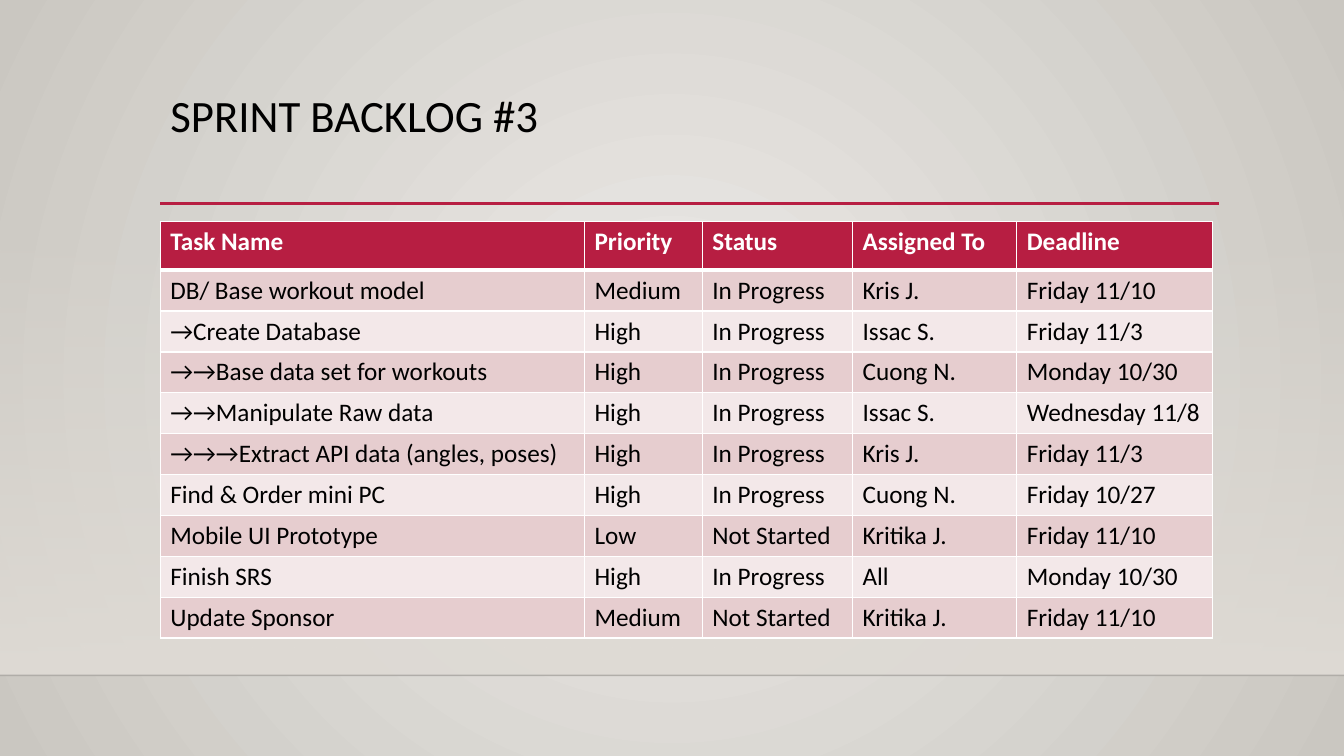
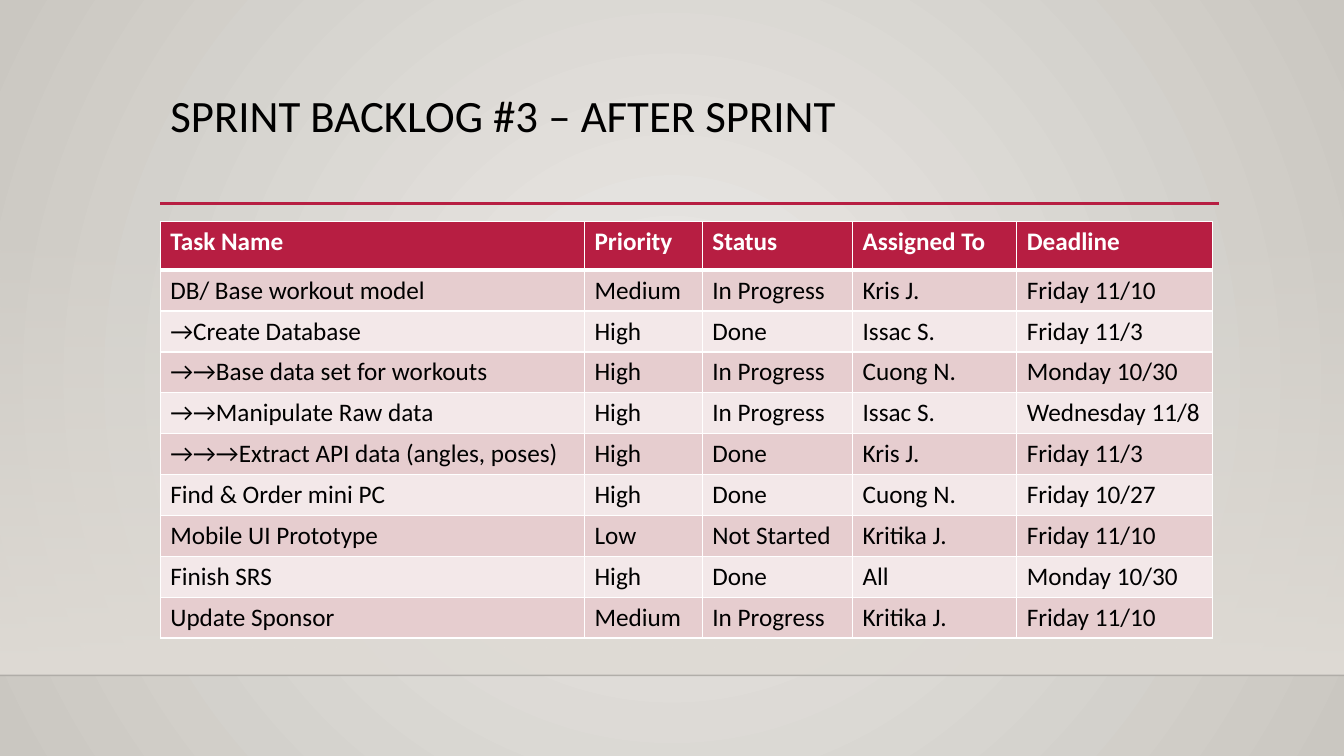
from dataclasses import dataclass

from lxml import etree
from pptx import Presentation
from pptx.dml.color import RGBColor
from pptx.enum.shapes import MSO_CONNECTOR as Connector, MSO_SHAPE as Shape
from pptx.enum.text import MSO_ANCHOR as Anchor, MSO_AUTO_SIZE as AutoSize, PP_ALIGN as Align
from pptx.oxml import parse_xml
from pptx.oxml.ns import nsdecls, qn
from pptx.util import Pt


@dataclass(frozen=True)
class Theme:
    font: str = "Calibri"
    title_size: int = 32
    table_size: int = 18
    accent: str = "B71E42"
    ink: str = "000000"
    white: str = "FFFFFF"
    dark_band: str = "E6CDCF"
    light_band: str = "F3E8E9"
    floor: str = "DFDBD5"
    glow: str = "ECEAE7"
    edge: str = "CAC7C1"


theme = Theme()


def gradient(stops, direction):
    marks = "".join(
        f'<a:gs pos="{place * 1000}"><a:srgbClr val="{color}">'
        f'<a:alpha val="{opacity * 1000}"/></a:srgbClr></a:gs>'
        for place, color, opacity in stops
    )
    return parse_xml(f'<a:gradFill {nsdecls("a")} rotWithShape="1"><a:gsLst>{marks}</a:gsLst>{direction}</a:gradFill>')


def write(para, text, size, color, bold=False):
    span = para.add_run()
    span.text = text
    span.font.name = theme.font
    span.font.size = Pt(size)
    span.font.bold = bold
    span.font.color.rgb = RGBColor.from_string(color)


deck = Presentation()
deck.slide_width, deck.slide_height = Pt(960), Pt(540)
layout = deck.slide_layouts[5]

margin = 114.5
floor_top, floor_bottom = 159, 482.4
rule_top, rule_right = 145.5, 871
table_top, header_height, row_height = 158.4, 34.6, 28.8
column_widths = (303, 84.2, 107.3, 117.3, 139.8)

for holder in list(layout.placeholders):
    if holder.placeholder_format.idx:
        holder.element.getparent().remove(holder.element)
layout_title = layout.placeholders[0]
layout_title.left, layout_title.top = Pt(margin), Pt(63.4)
layout_title.width, layout_title.height = Pt(756), Pt(82.8)

layout.background.fill.solid()
backdrop = layout.element.find(".//" + qn("p:bgPr"))
backdrop.replace(
    backdrop[0],
    gradient(
        [(0, theme.glow, 100), (100, theme.edge, 100)],
        '<a:path path="circle"><a:fillToRect l="50000" t="50000" r="50000" b="50000"/></a:path>',
    ),
)

pages = [deck.slides.add_slide(layout) for _ in range(2)]

shapes = pages[0].shapes
floor = shapes.add_shape(Shape.RECTANGLE, 0, Pt(floor_top), deck.slide_width, Pt(floor_bottom - floor_top))
floor.shadow.inherit = False
floor.line.fill.background()
floor.fill.solid()
floor_fill = floor.element.spPr.find(qn("a:solidFill"))
floor.element.spPr.replace(
    floor_fill,
    gradient([(0, theme.floor, 0), (100, theme.floor, 100)], '<a:lin ang="5400000" scaled="0"/>'),
)
layout.shapes.element.append(floor.element)

for left, right, top, color, weight, opacity in (
    (0, 960, floor_bottom, theme.ink, 1, 20),
    (margin, rule_right, rule_top, theme.accent, 2.5, 100),
):
    rule = shapes.add_connector(Connector.STRAIGHT, Pt(left), Pt(top), Pt(right), Pt(top))
    rule.line.color.rgb = RGBColor.from_string(color)
    rule.line.width = Pt(weight)
    tint = rule.element.spPr.find(".//" + qn("a:srgbClr"))
    etree.SubElement(tint, qn("a:alpha")).set("val", str(opacity * 1000))
    etree.SubElement(rule.element.spPr, qn("a:effectLst"))
    layout.shapes.element.append(rule.element)

headings = ("Task Name", "Priority", "Status", "Assigned To", "Deadline")
tasks = (
    ("DB/ Base workout model", "Medium", "Kris J.", "Friday 11/10"),
    ("→Create Database", "High", "Issac S.", "Friday 11/3"),
    ("→→Base data set for workouts", "High", "Cuong N.", "Monday 10/30"),
    ("→→Manipulate Raw data", "High", "Issac S.", "Wednesday 11/8"),
    ("→→→Extract API data (angles, poses)", "High", "Kris J.", "Friday 11/3"),
    ("Find & Order mini PC", "High", "Cuong N.", "Friday 10/27"),
    ("Mobile UI Prototype", "Low", "Kritika J.", "Friday 11/10"),
    ("Finish SRS", "High", "All", "Monday 10/30"),
    ("Update Sponsor", "Medium", "Kritika J.", "Friday 11/10"),
)
going, waiting, done = "In Progress", "Not Started", "Done"
backlogs = (
    ("SPRINT BACKLOG #3", (going, going, going, going, going, going, waiting, going, waiting)),
    ("SPRINT BACKLOG #3 – AFTER SPRINT", (going, done, going, going, done, done, waiting, done, going)),
)

for page, (heading, statuses) in zip(pages, backlogs):
    frame = page.shapes.title.text_frame
    frame.vertical_anchor = Anchor.TOP
    frame.auto_size = AutoSize.NONE
    frame.word_wrap = True
    para = frame.paragraphs[0]
    para.alignment = Align.LEFT
    para.line_spacing = 0.9
    write(para, heading, theme.title_size, theme.ink)

    rows = [headings]
    for (task, priority, person, deadline), status in zip(tasks, statuses):
        rows.append((task, priority, status, person, deadline))

    table = page.shapes.add_table(
        len(rows), len(headings), Pt(margin), Pt(table_top),
        Pt(sum(column_widths)), Pt(header_height + row_height * len(tasks)),
    ).table
    for column, width in zip(table.columns, column_widths):
        column.width = Pt(width)

    for row_index, row in enumerate(rows):
        is_header = row_index == 0
        table.rows[row_index].height = Pt(header_height if is_header else row_height)
        band = theme.dark_band if row_index % 2 else theme.light_band
        borders = {"lnL": 1, "lnR": 1, "lnT": 3 if row_index == 1 else 1, "lnB": 3 if is_header else 1}
        for column_index, text in enumerate(row):
            cell = table.cell(row_index, column_index)
            cell.fill.solid()
            cell.fill.fore_color.rgb = RGBColor.from_string(theme.accent if is_header else band)
            write(
                cell.text_frame.paragraphs[0], text, theme.table_size,
                theme.white if is_header else theme.ink, is_header,
            )
            properties = cell._tc.get_or_add_tcPr()
            for position, (side, weight) in enumerate(borders.items()):
                properties.insert(position, parse_xml(
                    f'<a:{side} {nsdecls("a")} w="{Pt(weight)}"><a:solidFill>'
                    f'<a:srgbClr val="{theme.white}"/></a:solidFill></a:{side}>'
                ))

deck.save("out.pptx")
